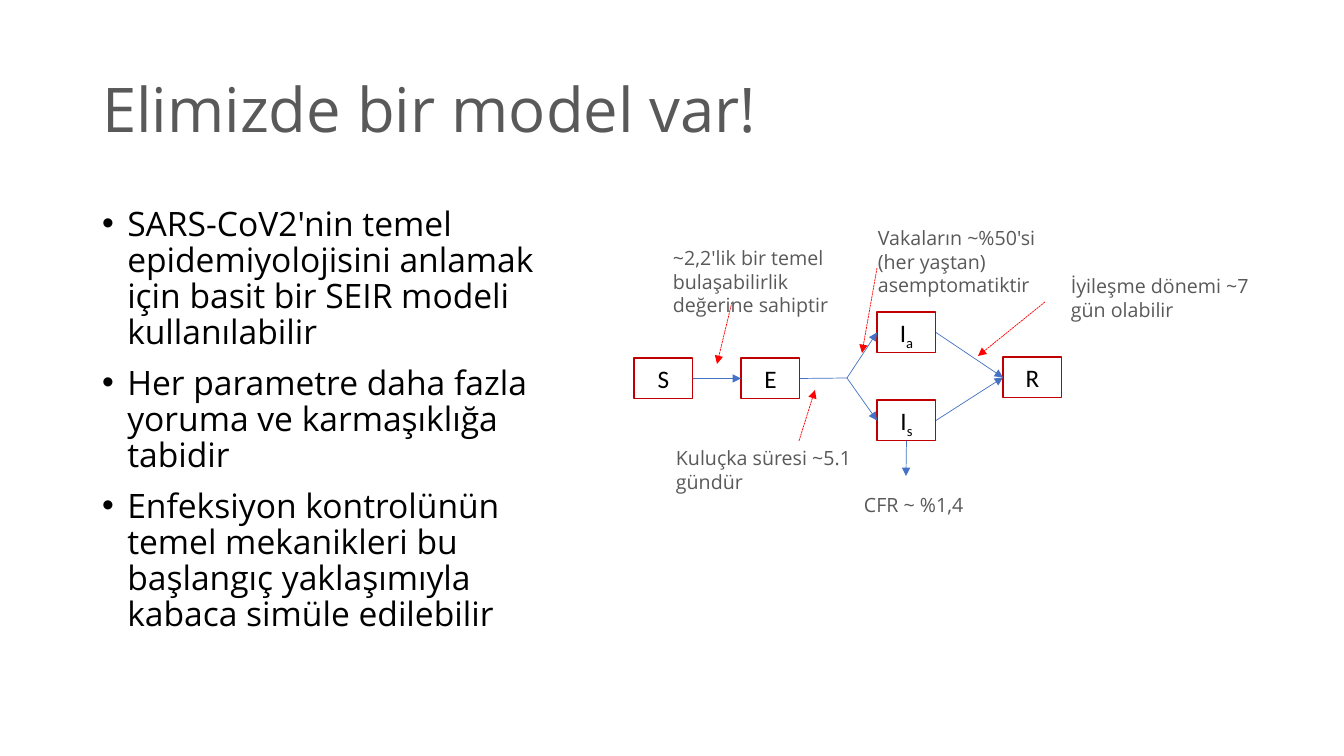
from dataclasses import dataclass

from lxml import etree
from pptx import Presentation
from pptx.dml.color import RGBColor
from pptx.enum.dml import MSO_LINE
from pptx.enum.shapes import MSO_CONNECTOR, MSO_SHAPE
from pptx.enum.text import MSO_ANCHOR, MSO_AUTO_SIZE, PP_ALIGN
from pptx.oxml.ns import qn
from pptx.util import Pt

RECT = MSO_SHAPE.RECTANGLE
STRAIGHT = MSO_CONNECTOR.STRAIGHT
SYS_DASH = MSO_LINE.SQUARE_DOT
TOP, MIDDLE = MSO_ANCHOR.TOP, MSO_ANCHOR.MIDDLE
GROW, NO_FIT = MSO_AUTO_SIZE.SHAPE_TO_FIT_TEXT, MSO_AUTO_SIZE.NONE
LEFT, CENTER = PP_ALIGN.LEFT, PP_ALIGN.CENTER
BOTTOM_SIDE, LEFT_SIDE, RIGHT_SIDE = 2, 1, 3
EMU_PER_INCH, PX_PER_INCH = 914400, 100.8
BOX_W, BOX_H = 59, 41
LABEL_W = 208


@dataclass(frozen=True)
class Theme:
    text_font: str = "Open Sans"
    box_font: str = "Calibri"
    title_size: int = 44
    body_size: int = 24
    box_size: int = 18
    label_size: int = 14
    grey: str = "595959"
    black: str = "000000"
    box_line: str = "C00000"
    flow: str = "4472C4"
    pointer: str = "FF0000"


THEME = Theme()


def px(n):
    return round(n * EMU_PER_INCH / PX_PER_INCH)


def apply(obj, **formats):
    for name, value in formats.items():
        setattr(obj, name, value)


def place(sp, left, top, width, height):
    apply(sp, left=px(left), top=px(top), width=px(width), height=px(height))


def add_run(p, text, font, size, color):
    r = p.add_run()
    r.text = text
    apply(r.font, name=font, size=Pt(size))
    r.font.color.rgb = RGBColor.from_string(color)
    return r


def fill_title(sp, text):
    place(sp, 92, 40, 1159, 146)
    tf = sp.text_frame
    apply(tf, vertical_anchor=MIDDLE, auto_size=NO_FIT)
    p = tf.paragraphs[0]
    apply(p, alignment=LEFT, line_spacing=0.9)
    add_run(p, text, THEME.text_font, THEME.title_size, THEME.grey)


def fill_bullets(sp, items):
    place(sp, 92, 202, 503, 480)
    tf = sp.text_frame
    apply(tf, vertical_anchor=TOP, auto_size=NO_FIT)
    indent = EMU_PER_INCH // 4
    for i, text in enumerate(items):
        p = tf.add_paragraph() if i else tf.paragraphs[0]
        pPr = p._p.get_or_add_pPr()
        pPr.set("marL", str(indent))
        pPr.set("indent", str(-indent))
        etree.SubElement(pPr, qn("a:buChar")).set("char", "•")
        apply(p, line_spacing=0.9, space_before=Pt(10 if i else 0))
        add_run(p, text, THEME.text_font, THEME.body_size, THEME.black)


def add_box(slide, left, top, text, subscript=""):
    sp = slide.shapes.add_shape(RECT, px(left), px(top), px(BOX_W), px(BOX_H))
    sp.shadow.inherit = False
    sp.fill.background()
    sp.line.color.rgb = RGBColor.from_string(THEME.box_line)
    sp.line.width = Pt(0.75)
    tf = sp.text_frame
    apply(tf, word_wrap=True, vertical_anchor=TOP, auto_size=GROW)
    p = tf.paragraphs[0]
    p.alignment = CENTER
    style = THEME.box_font, THEME.box_size, THEME.black
    add_run(p, text, *style)
    if subscript:
        r = add_run(p, subscript, *style)
        r._r.get_or_add_rPr().set("baseline", "-25000")
    return sp


def add_label(slide, left, top, lines, text):
    height = 10 + 24 * lines
    sp = slide.shapes.add_textbox(px(left), px(top), px(LABEL_W), px(height))
    tf = sp.text_frame
    apply(tf, word_wrap=True, auto_size=GROW)
    add_run(tf.paragraphs[0], text, THEME.text_font, THEME.label_size, THEME.grey)


def add_line(slide, start, end, color, arrow=True, dash=None):
    points = [px(n) for n in (*start, *end)]
    cxn = slide.shapes.add_connector(STRAIGHT, *points)
    apply(cxn.line, width=Pt(0.5), dash_style=dash)
    cxn.line.color.rgb = RGBColor.from_string(color)
    if arrow:
        ln = cxn.line._get_or_add_ln()
        etree.SubElement(ln, qn("a:tailEnd")).set("type", "triangle")
    etree.SubElement(cxn._element.spPr, qn("a:effectLst"))
    return cxn


def add_flow(slide, start, end, arrow=True):
    origin = (0, 0)
    begin_at = start if isinstance(start[0], int) else origin
    end_at = end if isinstance(end[0], int) else origin
    cxn = add_line(slide, begin_at, end_at, THEME.flow, arrow)
    if begin_at is origin:
        cxn.begin_connect(*start)
    if end_at is origin:
        cxn.end_connect(*end)


def main():
    prs = Presentation()
    apply(prs, slide_width=px(1344), slide_height=px(756))
    slide = prs.slides.add_slide(prs.slide_layouts[1])
    fill_title(slide.shapes.title, "Elimizde bir model var!")
    fill_bullets(slide.placeholders[1], [
        "SARS-CoV2'nin temel epidemiyolojisini anlamak için basit bir SEIR modeli kullanılabilir",
        "Her parametre daha fazla yoruma ve karmaşıklığa tabidir",
        "Enfeksiyon kontrolünün temel mekanikleri bu başlangıç yaklaşımıyla kabaca simüle edilebilir",
    ])

    susceptible = add_box(slide, 634, 358, "S")
    exposed = add_box(slide, 741, 358, "E")
    asymptomatic = add_box(slide, 877, 312, "I", "a")
    symptomatic = add_box(slide, 877, 400, "I", "s")
    recovered = add_box(slide, 1003, 357, "R")

    branch = (847, 378)
    add_flow(slide, (susceptible, RIGHT_SIDE), (exposed, LEFT_SIDE))
    add_flow(slide, (exposed, RIGHT_SIDE), branch, arrow=False)
    for infected in (asymptomatic, symptomatic):
        add_flow(slide, branch, (infected, LEFT_SIDE))
        add_flow(slide, (infected, RIGHT_SIDE), (recovered, LEFT_SIDE))
    add_flow(slide, (symptomatic, BOTTOM_SIDE), (906, 476))

    for start, end in [
        ((732, 302), (717, 364)),
        ((799, 441), (815, 390)),
        ((877, 268), (862, 353)),
        ((1045, 302), (978, 356)),
    ]:
        add_line(slide, start, end, THEME.pointer, dash=SYS_DASH)

    for label in [
        (663, 241, 3, "~2,2'lik bir temel bulaşabilirlik değerine sahiptir"),
        (666, 441, 2, "Kuluçka süresi ~5.1 gündür"),
        (868, 221, 3, "Vakaların ~%50'si (her yaştan) asemptomatiktir"),
        (1061, 269, 2, "İyileşme dönemi ~7 gün olabilir"),
        (854, 488, 1, "CFR ~ %1,4"),
    ]:
        add_label(slide, *label)

    prs.save("out.pptx")


if __name__ == "__main__":
    main()
